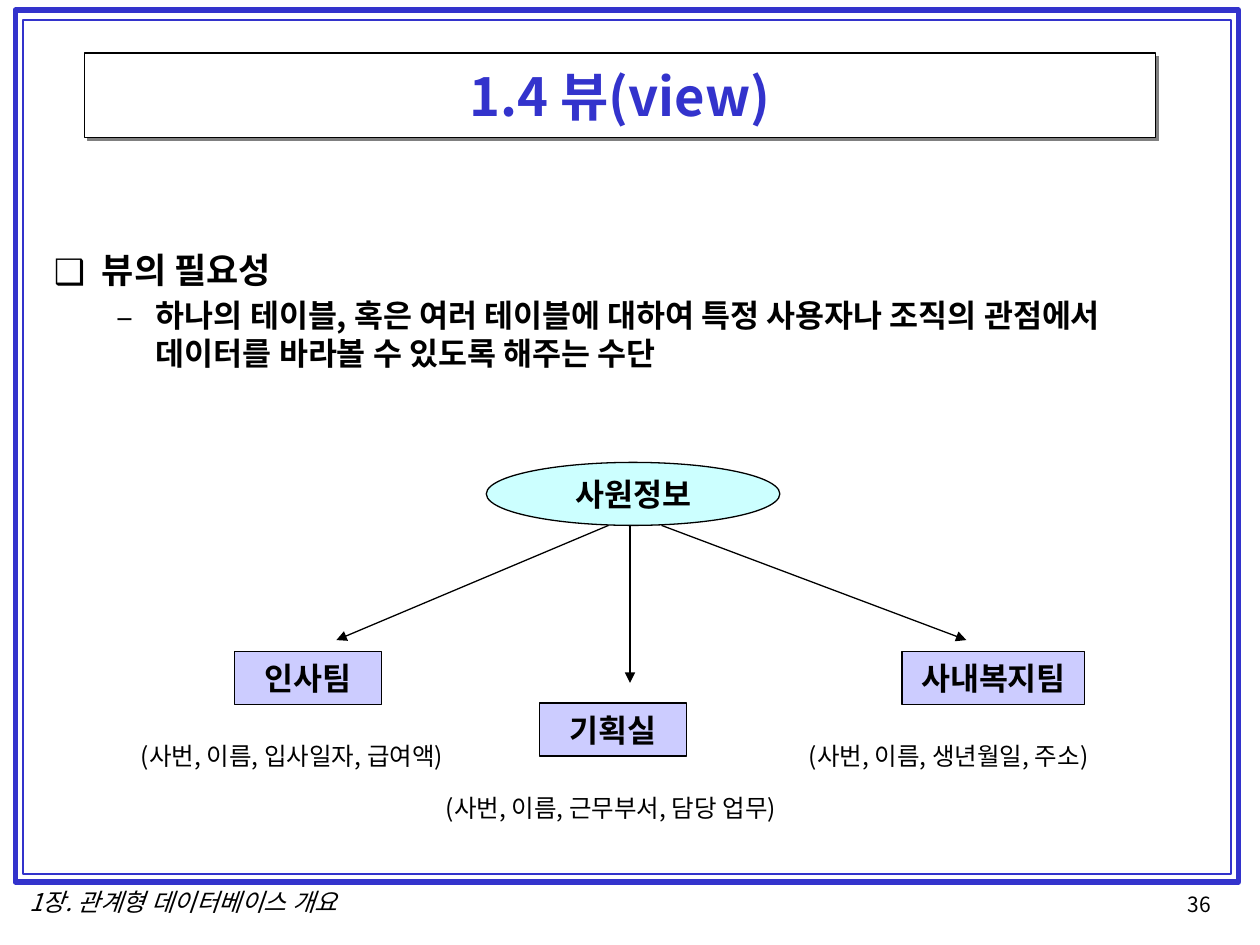
"""Build the slide on why database views are needed."""
from lxml import etree
from pptx import Presentation
from pptx.dml.color import RGBColor
from pptx.enum import shapes, text
from pptx.oxml import parse_xml
from pptx.oxml.ns import nsdecls, qn
from pptx.util import Inches, Pt

FONT = "Noto Sans CJK KR"
COLORS = {"blue": "3333CC", "black": "000000", "white": "FFFFFF",
          "cyan": "CCFFFF", "lilac": "CCCCFF", "gray": "808080"}
TITLE = "1.4 뷰(view)"
FOOTER = "1장. 관계형 데이터베이스 개요"
PAGE_NUMBER = "36"
BODY = [
    {"words": "뷰의 필요성", "size": 20, "bullet": ("❑", 0.38, 0.38)},
    {"words": "하나의 테이블, 혹은 여러 테이블에 대하여 특정 사용자나 조직의 관점에서 "
              "데이터를 바라볼 수 있도록 해주는 수단",
     "size": 18, "bullet": ("–", 0.81, 0.31), "before": 3.6},
]
FRAMES = [((0.12, 0.08, 9.71, 6.92), 3), ((0.18, 0.16, 9.59, 6.78), 1)]
SOURCE = ("사원정보", (3.86, 3.67, 2.33, 0.5))
TEAMS = [
    ("인사팀", (1.86, 5.17, 1.17), "(사번, 이름, 입사일자, 급여액)", 2.87),
    ("기획실", (4.28, 5.58, 1.17), "(사번, 이름, 근무부서, 담당 업무)", 3.13),
    ("사내복지팀", (7.16, 5.17, 1.45), "(사번, 이름, 생년월일, 주소)", 2.68),
]
TEAM_HEIGHT = 0.42
CAPTION_SHIFT = (-0.84, 0.665)
ARROWS = [((4.83, 4.17), (2.67, 5.08)), ((5, 4.17), (5, 5.42)),
          ((5.25, 4.17), (7.67, 5.08))]


def color(name):
    return RGBColor.from_string(COLORS[name])


def place(area):
    return [Inches(value) for value in area]


def add_bullet(para, mark, margin, hang):
    props = para._p.get_or_add_pPr()
    props.set("marL", str(Inches(margin)))
    props.set("indent", str(-Inches(hang)))
    etree.SubElement(props, qn("a:buFont")).set("typeface", FONT)
    etree.SubElement(props, qn("a:buChar")).set("char", mark)


def write(para, words, size=18, ink="black", bold=False, italic=False,
          align=text.PP_ALIGN.LEFT, bullet=None, before=0):
    if bullet:
        add_bullet(para, *bullet)
    para.alignment = align
    if before:
        para.space_before = Pt(before)
    span = para.add_run()
    span.text = words
    font = span.font
    font.size, font.bold, font.italic, font.name = Pt(size), bold, italic, FONT
    font.color.rgb = color(ink)
    etree.SubElement(font._element, qn("a:ea")).set("typeface", FONT)


def add_text(page, area, words, wrap=True, **style):
    box = page.shapes.add_textbox(*place(area))
    box.text_frame.word_wrap = wrap
    write(box.text_frame.paragraphs[0], words, **style)


def add_box(page, area, fill=None, line="black", width=0.75, words=None,
            kind=shapes.MSO_SHAPE.RECTANGLE, wrap=False, **style):
    box = page.shapes.add_shape(kind, *place(area))
    box.shadow.inherit = False
    if fill:
        box.fill.solid()
        box.fill.fore_color.rgb = color(fill)
    else:
        box.fill.background()
    box.line.color.rgb = color(line)
    box.line.width = Pt(width)
    if words:
        frame = box.text_frame
        frame.word_wrap = wrap
        frame.vertical_anchor = text.MSO_ANCHOR.MIDDLE
        write(frame.paragraphs[0], words, bold=True,
              align=text.PP_ALIGN.CENTER, **style)
    return box


def add_shadow(box):
    effects = box._element.spPr.find(qn("a:effectLst"))
    effects.append(parse_xml(
        f'<a:outerShdw {nsdecls("a")} dist="{Pt(2.8)}" dir="2700000" '
        f'algn="ctr" rotWithShape="0"><a:srgbClr val="{COLORS["gray"]}"/>'
        '</a:outerShdw>'))


def add_arrow(page, start, end):
    arrow = page.shapes.add_connector(
        shapes.MSO_CONNECTOR.STRAIGHT, *place(start + end))
    arrow.line.color.rgb = color("black")
    arrow.line.width = Pt(0.75)
    etree.SubElement(arrow.line._get_or_add_ln(), qn("a:tailEnd")).set("type", "triangle")
    etree.SubElement(arrow._element.spPr, qn("a:effectLst"))


def main():
    deck = Presentation()
    deck.slide_width, deck.slide_height = Inches(10), Inches(7.5)
    page = deck.slides.add_slide(deck.slide_layouts[6])

    add_text(page, (9.33, 7.03, 0.44, 0.3), PAGE_NUMBER, wrap=False, size=12)
    add_text(page, (0, 6.99, 2.91, 0.33), FOOTER, wrap=False, size=14,
             italic=True, align=text.PP_ALIGN.CENTER)
    for area, width in FRAMES:
        add_box(page, area, line="blue", width=width)

    title = add_box(page, (0.67, 0.42, 8.5, 0.67), fill="white", words=TITLE,
                    wrap=True, size=30, ink="blue")
    add_shadow(title)

    body = page.shapes.add_textbox(*place((0.33, 1.92, 9.33, 4.83))).text_frame
    body.word_wrap = True
    for index, item in enumerate(BODY):
        para = body.add_paragraph() if index else body.paragraphs[0]
        write(para, bold=True, **item)

    name, area = SOURCE
    add_box(page, area, fill="cyan", words=name, kind=shapes.MSO_SHAPE.OVAL)
    for name, (left, top, width), fields, field_width in TEAMS:
        add_box(page, (left, top, width, TEAM_HEIGHT), fill="lilac", words=name)
        shift_x, shift_y = CAPTION_SHIFT
        add_text(page, (left + shift_x, top + shift_y, field_width, 0.33),
                 fields, size=14)
    for start, end in ARROWS:
        add_arrow(page, start, end)

    deck.save("out.pptx")


if __name__ == "__main__":
    main()
